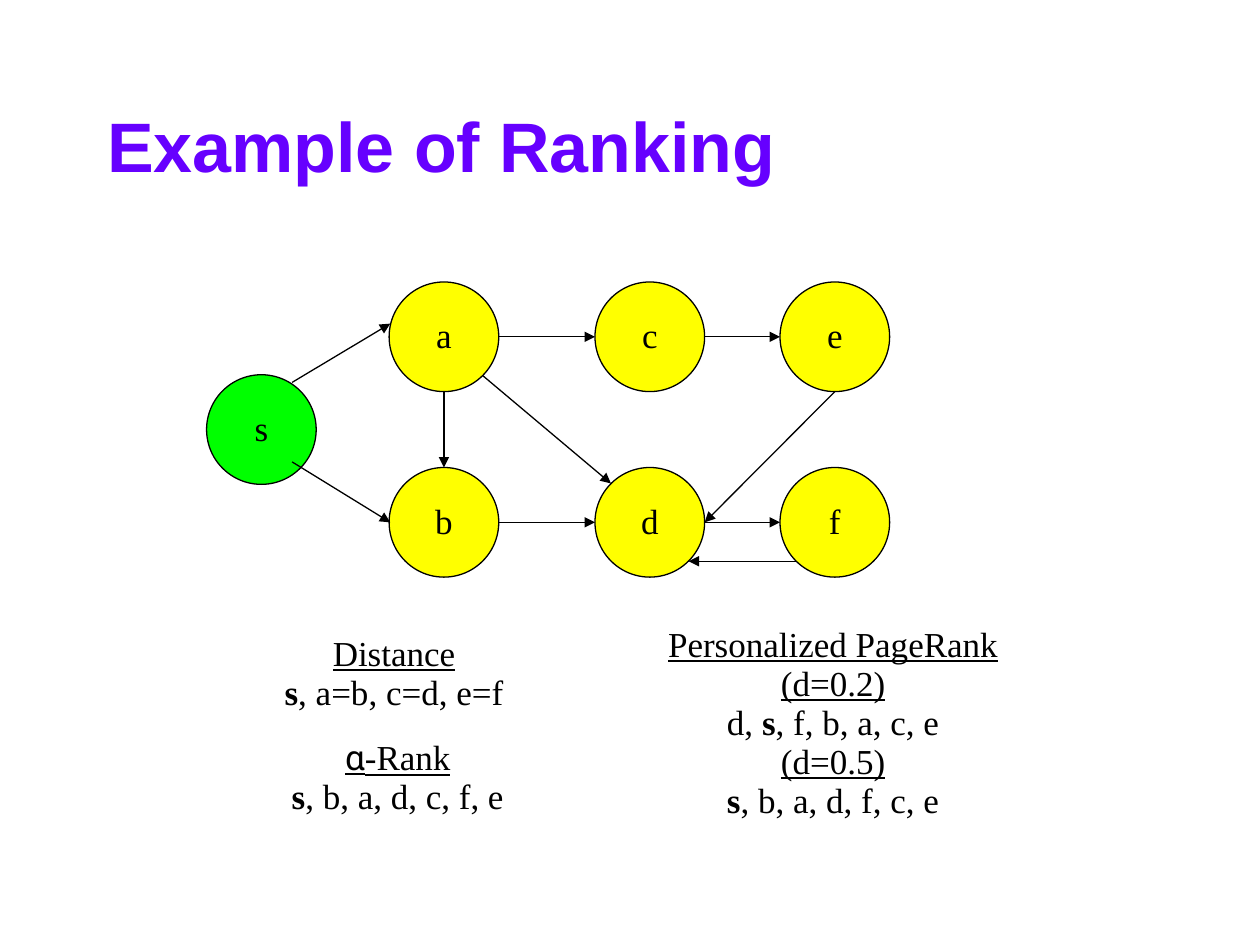
from lxml.etree import SubElement
from pptx import Presentation
from pptx.dml.color import RGBColor
from pptx.enum.shapes import MSO_CONNECTOR, MSO_SHAPE
from pptx.enum.text import MSO_ANCHOR, PP_ALIGN
from pptx.oxml.ns import qn
from pptx.util import Cm, Pt

VIOLET = RGBColor(0x66, 0x00, 0xFF)
GREEN = RGBColor(0x00, 0xFF, 0x00)
YELLOW = RGBColor(0xFF, 0xFF, 0x00)
BLACK = RGBColor(0x00, 0x00, 0x00)

# Graph: node -> centre in cm
DIAMETER = 2.21
COLUMNS = {"s": 5.27, "ab": 8.95, "cd": 13.1, "ef": 16.83}
TOP_ROW, BOTTOM_ROW = 6.79, 10.53
NODES = {"s": (COLUMNS["s"], (TOP_ROW + BOTTOM_ROW) / 2)}
for pair in ("ab", "cd", "ef"):
    NODES[pair[0]] = (COLUMNS[pair], TOP_ROW)
    NODES[pair[1]] = (COLUMNS[pair], BOTTOM_ROW)

# Points on a node, in radii from its centre
LEFT, RIGHT, TOP, BOTTOM = (-1, 0), (1, 0), (0, -1), (0, 1)
UPPER_LEFT, LOWER_LEFT, LOWER_RIGHT = (-0.71, -0.71), (-0.71, 0.71), (0.71, 0.71)
EDGES = [
    ("s", (0.56, -0.86), "a", (-0.98, -0.24)),
    ("s", (0.56, 0.59), "b", (-0.98, 0)),
    ("a", RIGHT, "c", LEFT),
    ("a", LOWER_RIGHT, "d", UPPER_LEFT),
    ("a", BOTTOM, "b", TOP),
    ("b", RIGHT, "d", LEFT),
    ("c", RIGHT, "e", LEFT),
    ("e", BOTTOM, "d", RIGHT),
    ("d", RIGHT, "f", LEFT),
    ("f", LOWER_LEFT, "d", LOWER_RIGHT),
]

# Text formats and rankings: each paragraph is a list of (text, format)
SERIF = {"name": "Times New Roman", "size": Pt(20)}
BOLD = {**SERIF, "bold": True}
HEADING = {**SERIF, "underline": True}
GREEK = {**HEADING, "name": "Roboto"}
TITLE = {"name": "Arial", "size": Pt(40), "bold": True}

RANKINGS = [
    ((12.78, 12.62, 8.03, 4.09), [
        [("Personalized PageRank", HEADING), ("\n", HEADING), ("(d=0.2)", HEADING)],
        [("d, ", SERIF), ("s", BOLD), (", f, b, a, c, e", SERIF)],
        [("(d=0.5)", HEADING)],
        [("s", BOLD), (", b, a, d, f, c, e", SERIF)],
    ]),
    ((5.05, 12.8, 5.79, 1.65), [
        [("Distance", HEADING)],
        [("s", BOLD), (", a=b, c=d, e=f", SERIF)],
    ]),
    ((5.33, 14.91, 5.38, 1.65), [
        [("α", GREEK), ("-Rank", HEADING)],
        [("s", BOLD), (", b, a, d, c, f, e", SERIF)],
    ]),
]


def write(shape, paragraphs, color=BLACK, align=PP_ALIGN.CENTER,
          anchor=MSO_ANCHOR.MIDDLE, wrap=False, spacing=0.93):
    frame = shape.text_frame
    frame.word_wrap = wrap
    frame.vertical_anchor = anchor
    for side in ("left", "right", "top", "bottom"):
        setattr(frame, f"margin_{side}", 0)
    for index, parts in enumerate(paragraphs):
        paragraph = frame.add_paragraph() if index else frame.paragraphs[0]
        paragraph.alignment = align
        paragraph.line_spacing = spacing
        for text, style in parts:
            if text == "\n":
                paragraph.add_line_break()
                continue
            run = paragraph.add_run()
            run.text = text
            run.font.color.rgb = color
            for key, value in style.items():
                setattr(run.font, key, value)


def add_node(slide, label):
    x, y = NODES[label]
    node = slide.shapes.add_shape(
        MSO_SHAPE.OVAL, Cm(x - DIAMETER / 2), Cm(y - DIAMETER / 2),
        Cm(DIAMETER), Cm(DIAMETER))
    node.shadow.inherit = False
    node.fill.solid()
    node.fill.fore_color.rgb = GREEN if label == "s" else YELLOW
    node.line.color.rgb = BLACK
    node.line.width = Pt(0.75)
    write(node, [[(label, SERIF)]])


def point(label, site):
    return [Cm(centre + DIAMETER / 2 * offset)
            for centre, offset in zip(NODES[label], site)]


def add_edge(slide, source, start, target, end):
    edge = slide.shapes.add_connector(
        MSO_CONNECTOR.STRAIGHT, *point(source, start), *point(target, end))
    edge.line.color.rgb = BLACK
    edge.line.width = Pt(0.75)
    SubElement(edge.line._get_or_add_ln(), qn("a:tailEnd"), type="triangle")
    SubElement(edge._element.spPr, qn("a:effectLst"))


def main():
    deck = Presentation()
    deck.slide_width, deck.slide_height = Cm(25.4), Cm(19.05)
    slide = deck.slides.add_slide(deck.slide_layouts[6])

    # Title
    title = slide.shapes.add_textbox(Cm(2.16), Cm(1.4), Cm(21.69), Cm(3.18))
    write(title, [[("Example of Ranking", TITLE)]], color=VIOLET,
          align=PP_ALIGN.LEFT, wrap=True, spacing=0.98)

    # Graph
    for label in NODES:
        add_node(slide, label)
    for edge in EDGES:
        add_edge(slide, *edge)

    # Rankings
    for box, paragraphs in RANKINGS:
        ranking = slide.shapes.add_textbox(*map(Cm, box))
        write(ranking, paragraphs, anchor=MSO_ANCHOR.TOP)

    deck.save("out.pptx")


if __name__ == "__main__":
    main()
